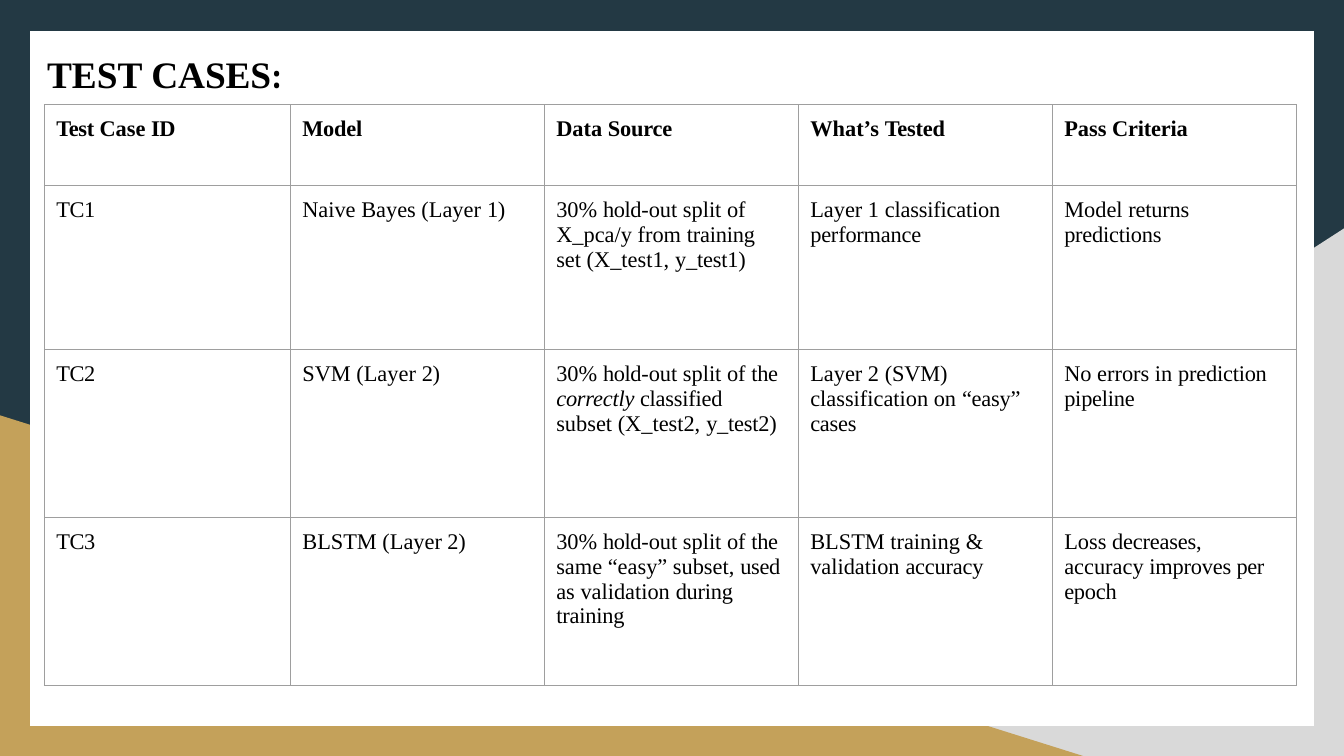
from pptx import Presentation
from pptx.dml.color import RGBColor
from pptx.enum.text import MSO_ANCHOR as Anchor, PP_ALIGN as Align
from pptx.oxml.ns import qn
from pptx.util import Inches, Pt
from lxml.etree import SubElement

SERIF = "Times New Roman"
BLACK, WHITE, NAVY = "000000", "FFFFFF", "233944"
GRAY, GOLD, BORDER = "D9D9D9", "C4A15A", "9E9E9E"
WIDTH = 10
HEIGHT = WIDTH * 9 / 16

COLUMN_WIDTHS = [1.83, 1.89, 1.89, 1.89, 1.82]
ROW_HEIGHTS = [0.6, 1.22, 1.25, 1.25]

# Each cell is a list of runs: (text, letter spacing in points, italic if given)
TEST_CASES = [
    [
        [("Test ", -0.2), ("Case ", 0), ("ID", -0.2)],
        [("Model", -0.1)],
        [("Data ", 0), ("Source", -0.1)],
        [("What’s ", 0), ("Tested", -0.1)],
        [("Pass ", 0), ("Criteria", -0.1)],
    ],
    [
        [("TC1", -0.2)],
        [("Naive Bayes (Layer ", 0), ("1)", -0.2)],
        [("30% ", 0), ("hold-", -0.2), ("out split ", 0), ("of ", -0.2),
         ("X_pca/y from ", 0), ("training ", -0.1),
         ("set (X_test1, ", 0), ("y_test1)", -0.1)],
        [("Layer 1 ", 0), ("classification performance", -0.1)],
        [("Model ", 0), ("returns predictions", -0.1)],
    ],
    [
        [("TC2", -0.2)],
        [("SVM (Layer ", 0), ("2)", -0.2)],
        [("30% ", 0), ("hold-", -0.2), ("out split of ", 0), ("the ", -0.2),
         ("correctly ", -0.1, True), ("classified ", -0.1),
         ("subset (X_test2, ", 0), ("y_test2)", -0.1)],
        [("Layer 2 ", 0), ("(SVM) ", -0.1), ("classification on ", 0),
         ("“easy” cases", -0.1)],
        [("No errors in ", 0), ("prediction pipeline", -0.1)],
    ],
    [
        [("TC3", -0.2)],
        [("BLSTM (Layer", 0), (" 2)", -0.2)],
        [("30% ", 0), ("hold-", -0.2), ("out split of ", 0), ("the ", -0.2),
         ("same “easy” subset, ", 0), ("used ", -0.2),
         ("as validation ", 0), ("during training", -0.1)],
        [("BLSTM training ", 0), ("& ", -0.5), ("validation ", 0),
         ("accuracy", -0.1)],
        [("Loss ", 0), ("decreases, ", -0.1), ("accuracy ", 0),
         ("improves", -0.1), (" per ", -0.2), ("epoch", -0.1)],
    ],
]


def color(hex_string):
    return RGBColor.from_string(hex_string)


def add_polygon(slide, points, fill):
    corners = [(Inches(x), Inches(y)) for x, y in points]
    builder = slide.shapes.build_freeform(*corners[0], scale=1.0)
    builder.add_line_segments(corners[1:], close=True)
    shape = builder.convert_to_shape()
    shape.shadow.inherit = False
    shape.fill.solid()
    shape.fill.fore_color.rgb = color(fill)
    shape.line.fill.background()


def add_box(slide, left, top, right, bottom, fill):
    add_polygon(slide, [(left, top), (right, top), (right, bottom), (left, bottom)], fill)


def add_run(paragraph, text, size, spacing=0, bold=False, italic=False, font=SERIF):
    run = paragraph.add_run()
    run.text = text
    run.font.name = font
    run.font.size = Pt(size)
    run.font.bold = bold
    run.font.italic = italic
    run.font.color.rgb = color(BLACK)
    run._r.get_or_add_rPr().set("spc", str(round(spacing * 100)))


def add_background(slide):
    add_box(slide, 0, 0, WIDTH, HEIGHT, NAVY)
    add_polygon(slide, [(WIDTH, HEIGHT), (3.92, HEIGHT), (WIDTH, 1.7)], GRAY)
    add_polygon(slide, [(8.06, HEIGHT), (0, HEIGHT), (0, 3.09)], GOLD)
    add_box(slide, 0.22, 0.23, 9.78, 5.4, WHITE)


def set_title(slide):
    title = slide.shapes.title
    title.left, title.top = Inches(0.35), Inches(0.37)
    title.width, title.height = Inches(9.29), Inches(0.36)
    frame = title.text_frame
    frame.word_wrap = True
    frame.vertical_anchor = Anchor.TOP
    frame.margin_left = frame.margin_right = frame.margin_bottom = 0
    frame.margin_top = Inches(0.01)
    paragraph = frame.paragraphs[0]
    paragraph.alignment = Align.LEFT
    add_run(paragraph, "TEST ", 20, bold=True)
    add_run(paragraph, "CASES", 20, spacing=-0.1, bold=True)
    add_run(paragraph, ":", 20, bold=True, font="Cambria")
    # Bring the title in front of the background
    slide.shapes._spTree.append(title._element)


def set_borders(cell):
    properties = cell._tc.get_or_add_tcPr()
    for side in ("a:lnL", "a:lnR", "a:lnT", "a:lnB"):
        line = SubElement(properties, qn(side), w=str(Pt(0.75)))
        fill = SubElement(line, qn("a:solidFill"))
        SubElement(fill, qn("a:srgbClr"), val=BORDER)


def fill_cell(cell, runs, bold):
    cell.margin_left = cell.margin_top = Inches(0.09)
    cell.margin_right, cell.margin_bottom = Inches(0.11), 0
    cell.vertical_anchor = Anchor.TOP
    set_borders(cell)
    cell.fill.solid()
    cell.fill.fore_color.rgb = color(WHITE)
    paragraph = cell.text_frame.paragraphs[0]
    for text, spacing, *italic in runs:
        add_run(paragraph, text, 12, spacing, bold, bool(italic))


def add_test_table(slide):
    frame = slide.shapes.add_table(
        len(ROW_HEIGHTS), len(COLUMN_WIDTHS), Inches(0.33), Inches(0.78),
        Inches(sum(COLUMN_WIDTHS)), Inches(sum(ROW_HEIGHTS)))
    table = frame.table
    table.first_row = table.horz_banding = False
    for column, width in zip(table.columns, COLUMN_WIDTHS):
        column.width = Inches(width)
    for index, (row, height) in enumerate(zip(table.rows, ROW_HEIGHTS)):
        row.height = Inches(height)
        for cell, runs in zip(row.cells, TEST_CASES[index]):
            fill_cell(cell, runs, bold=index == 0)


def main():
    presentation = Presentation()
    presentation.slide_width = Inches(WIDTH)
    presentation.slide_height = Inches(HEIGHT)
    slide = presentation.slides.add_slide(presentation.slide_layouts[5])
    add_background(slide)
    set_title(slide)
    add_test_table(slide)
    presentation.save("out.pptx")


if __name__ == "__main__":
    main()
